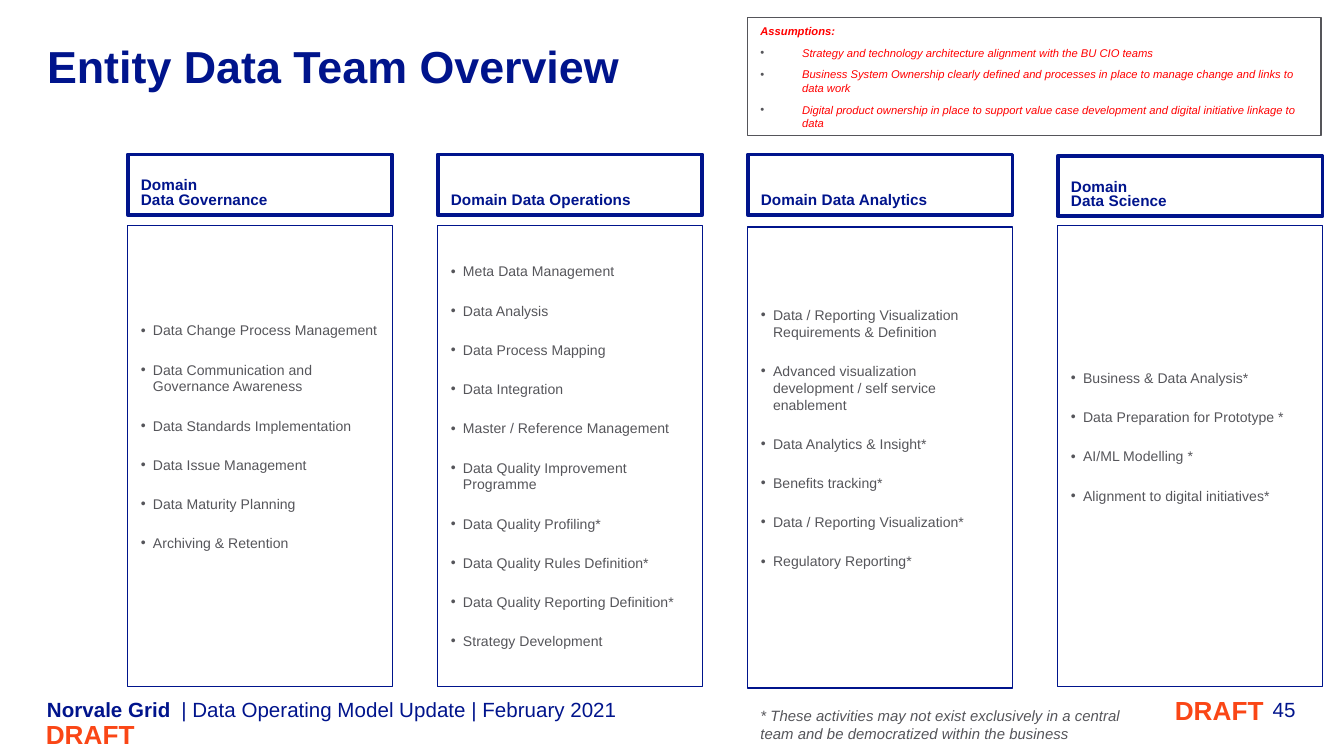
from lxml import etree
from pptx import Presentation
from pptx import util as u
from pptx.dml.color import RGBColor
from pptx.enum import shapes, text
from pptx.oxml.ns import qn

NAVY, GREY, RED, ORANGE, WHITE = "00148C", "55555A", "FF0000", "FA4616", "FFFFFF"
TOP, MIDDLE, BOTTOM = (text.MSO_ANCHOR.TOP, text.MSO_ANCHOR.MIDDLE,
                       text.MSO_ANCHOR.BOTTOM)
RIGHT = text.PP_ALIGN.RIGHT


def add_box(at, lines, size, color, anchor=TOP, inset=None, bold=False, italic=False,
            after=0, align=text.PP_ALIGN.LEFT, line=None, fill=None):
    """Add a text box, or a rectangle when line is a (colour, points) pair."""
    at = [u.Inches(v) for v in at]
    if line:
        sp = s.shapes.add_shape(shapes.MSO_SHAPE.RECTANGLE, *at)
        sp.shadow.inherit = False
        sp.line.color.rgb = RGBColor.from_string(line[0])
        sp.line.width = u.Pt(line[1])
        if fill:
            sp.fill.solid()
            sp.fill.fore_color.rgb = RGBColor.from_string(fill)
        else:
            sp.fill.background()
    else:
        sp = s.shapes.add_textbox(*at)
    tf = sp.text_frame
    tf.word_wrap = True
    tf.vertical_anchor = anchor
    if inset is not None:
        tf.margin_left = tf.margin_right = tf.margin_top = tf.margin_bottom = u.Inches(inset)
    tf.text = "\n".join(lines)
    for p in tf.paragraphs:
        p.alignment = align
        p.space_after = u.Pt(after)
        p.font.name = "Arial"
        p.font.size = u.Pt(size)
        p.font.bold = bold
        p.font.italic = italic
        p.font.color.rgb = RGBColor.from_string(color)
    return tf


def add_bullet(p, indent):
    pPr = p._p.get_or_add_pPr()
    pPr.set("marL", str(u.Inches(indent)))
    pPr.set("indent", str(-u.Inches(indent)))
    font = pPr.find(qn("a:defRPr"))
    color = etree.Element(qn("a:buClr"))
    etree.SubElement(color, qn("a:srgbClr"), val=GREY)
    font.addprevious(color)
    font.addprevious(etree.Element(qn("a:buFont"), typeface="Arial"))
    font.addprevious(etree.Element(qn("a:buChar"), char="•"))


prs = Presentation()
prs.slide_width = u.Inches(10)
prs.slide_height = prs.slide_width * 9 // 16
s = prs.slides.add_slide(prs.slide_layouts[6])

add_box((0.35, 0.29, 9.29, 0.47), ["Entity Data Team Overview"], 24, NAVY,
        inset=0, bold=True)

# Domain columns: heading, heading top, list top, bottom margin, activities
columns = [
    ("Domain\vData Governance", 1.15, 1.68, 0.34, [
        "Data Change Process Management",
        "Data Communication and Governance Awareness",
        "Data Standards Implementation",
        "Data Issue Management",
        "Data Maturity Planning",
        "Archiving & Retention"]),
    ("Domain Data Operations", 1.15, 1.68, 0.05, [
        "Meta Data Management",
        "Data Analysis",
        "Data Process Mapping",
        "Data Integration",
        "Master / Reference Management",
        "Data Quality Improvement Programme",
        "Data Quality Profiling*",
        "Data Quality Rules Definition*",
        "Data Quality Reporting Definition*",
        "Strategy Development"]),
    ("Domain Data Analytics", 1.15, 1.69, 0.34, [
        "Data / Reporting Visualization Requirements & Definition",
        "Advanced visualization development / self service enablement",
        "Data Analytics & Insight*",
        "Benefits tracking*",
        "Data / Reporting Visualization*",
        "Regulatory Reporting*"]),
    ("Domain \vData Science", 1.16, 1.68, 0.34, [
        "Business & Data Analysis*",
        "Data Preparation for Prototype *",
        "AI/ML Modelling *",
        "Alignment to digital initiatives*"]),
]
first_left, last_left = 0.95, 7.87
pitch = (last_left - first_left) / (len(columns) - 1)
for i, (heading, head_top, list_top, bottom, activities) in enumerate(columns):
    left = first_left + i * pitch
    tf = add_box((left, head_top, 1.97, 0.45), [heading], 8.25, NAVY, BOTTOM,
                 bold=True, after=6, line=(NAVY, 2), fill=WHITE)
    tf.paragraphs[0].line_spacing = 0.8
    tf = add_box((left, list_top, 1.97, 3.43), activities, 7.5, GREY, MIDDLE,
                 after=12, line=(NAVY, 0.75))
    tf.margin_bottom = u.Inches(bottom)
    for p in tf.paragraphs:
        add_bullet(p, 0.09)

assumptions = [
    "Assumptions:",
    "Strategy and technology architecture alignment with the BU CIO teams",
    "Business System Ownership clearly defined and processes in place to manage "
    "change and links to data work",
    "Digital product ownership in place to support value case development and "
    "digital initiative linkage to data",
]
tf = add_box((5.56, 0.13, 4.27, 0.88), assumptions, 6, RED, italic=True, after=4.5,
             line=(GREY, 0.75), fill=WHITE)
tf.paragraphs[0].font.bold = True
for p in tf.paragraphs[1:]:
    add_bullet(p, 0.31)

# Footer
add_box((0.35, 5.18, 1, 0.19), ["Norvale Grid"], 11, NAVY, BOTTOM, inset=0, bold=True)
add_box((1.35, 5.18, 7.87, 0.19), ["| Data Operating Model Update | February 2021"],
        11, NAVY, BOTTOM, inset=0)
add_box((9.06, 5.18, 0.58, 0.19), ["45"], 11, NAVY, BOTTOM, inset=0, align=RIGHT)
add_box((5.56, 5.21, 3.04, 0.37),
        ["* These activities may not exist exclusively in a central team and be "
         "democratized within the business"], 8, GREY, italic=True)
for left, top in ((8.42, 5.12), (0.02, 5.3)):
    add_box((left, top, 1.08, 0.33), ["DRAFT"], 14, ORANGE, MIDDLE, bold=True, align=RIGHT)

prs.save("out.pptx")
